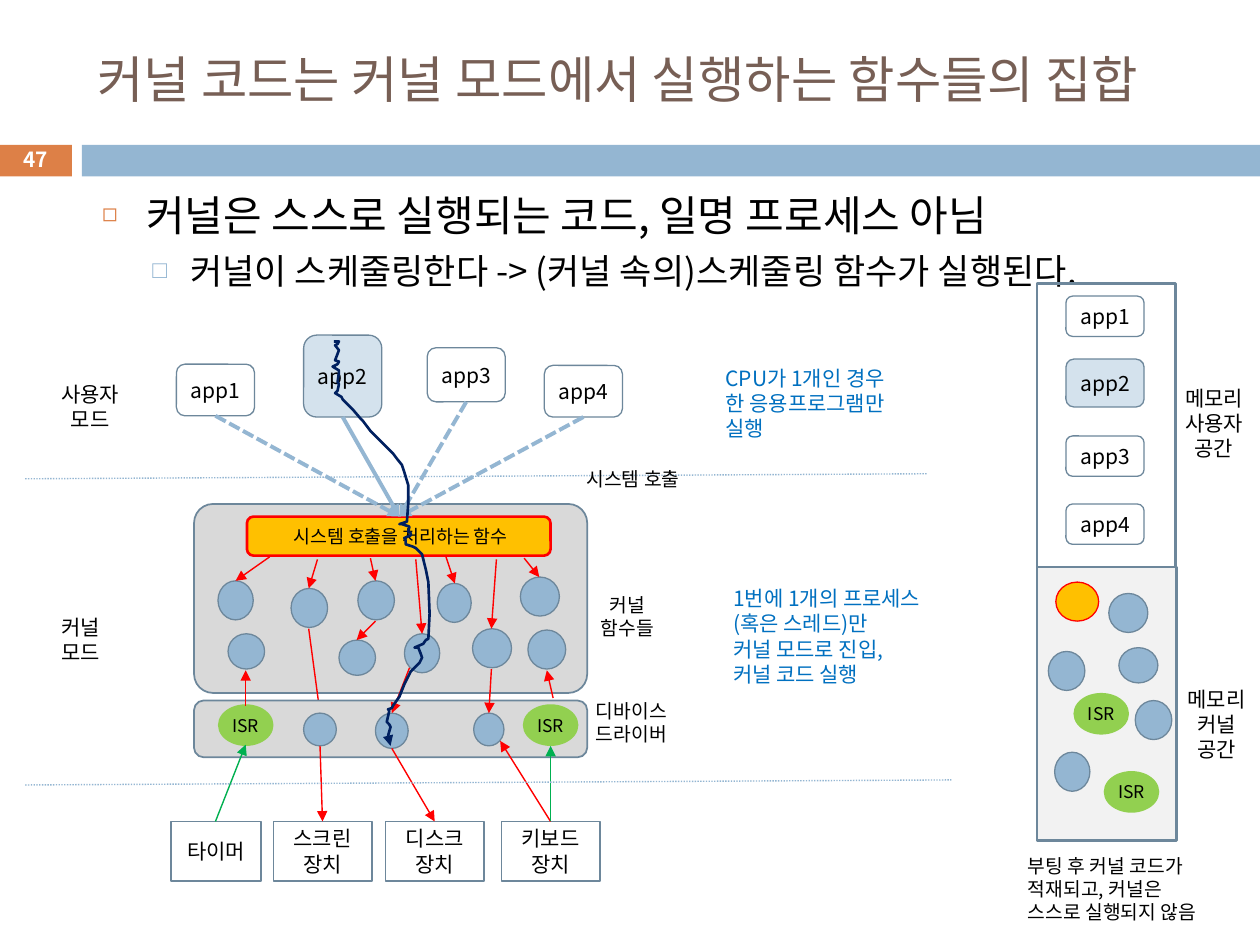
from lxml import etree
from pptx import Presentation
from pptx.dml.color import RGBColor
from pptx.enum.dml import MSO_LINE
from pptx.enum.shapes import MSO_CONNECTOR, MSO_SHAPE
from pptx.enum.text import MSO_ANCHOR, MSO_AUTO_SIZE, PP_ALIGN
from pptx.oxml.ns import qn
from pptx.util import Inches, Pt

RECT, ROUND, OVAL = MSO_SHAPE.RECTANGLE, MSO_SHAPE.ROUNDED_RECTANGLE, MSO_SHAPE.OVAL
DASH, DOT = MSO_LINE.SQUARE_DOT, MSO_LINE.ROUND_DOT
LEFT, MID = PP_ALIGN.LEFT, PP_ALIGN.CENTER
TOP, CENTER = MSO_ANCHOR.TOP, MSO_ANCHOR.MIDDLE
FONT = "Noto Sans CJK KR"

HUE = {
    "black": "000000", "white": "FFFFFF", "brown": "775F55", "orange": "DD8047",
    "blue": "94B6D2", "pale": "D4E2ED", "edge": "6D879B", "gray": "D9D9D9",
    "light": "F2F2F2", "gold": "FFC000", "red": "FF0000", "lime": "92D050",
    "green": "00B050", "note": "0070C0", "navy": "002060",
}

# Look of each kind of part: preset, fill, line, line width, text size, inset
LOOK = {
    "bar": (RECT, "blue", None, 0, 12, True),
    "badge": (RECT, "orange", None, 0, 12, True),
    "panel": (ROUND, "gray", "edge", 1, 12, True),
    "entry": (ROUND, "gold", "red", 1.5, 10.5, True),
    "func": (OVAL, "blue", "edge", 0.75, 10, False),
    "main": (OVAL, "gold", "red", 0.75, 10, False),
    "isr": (OVAL, "lime", "lime", 1.5, 10, False),
    "app": (ROUND, None, "edge", 0.75, 12, False),
    "live": (ROUND, "pale", "edge", 0.75, 12, False),
    "device": (RECT, "white", "edge", 1, 12, True),
    "memory": (RECT, None, "edge", 1.5, 12, True),
    "kernel": (RECT, "light", "edge", 1.5, 12, True),
}

TITLE = "커널 코드는 커널 모드에서 실행하는 함수들의 집합"
# text, size, indent, hang, space before, bullet, bullet colour, bullet size
POINTS = [
    ("커널은 스스로 실행되는 코드, 일명 프로세스 아님", 24, 0.35, 0.35, 7, "◻", "orange", 60),
    ("커널이 스케줄링한다 -> (커널 속의)스케줄링 함수가 실행된다.", 20, 0.7, 0.3, 5.5, "□", "blue", 70),
]

FUNCS = [(2.31, 4.67, 0.29, 0.31), (4.19, 5, 0.3, 0.31), (1.73, 4.61, 0.28, 0.31),
         (2.69, 5.08, 0.29, 0.28), (3.21, 5.03, 0.28, 0.31), (4.13, 4.58, 0.31, 0.31),
         (3.47, 4.63, 0.27, 0.31), (3.75, 4.99, 0.31, 0.31), (2.84, 4.61, 0.29, 0.31),
         (1.81, 5.03, 0.29, 0.28)]
DRIVERS = [(2.41, 5.66, 0.26, 0.26), (2.98, 5.66, 0.26, 0.28), (3.76, 5.66, 0.24, 0.26)]
LOADED = [(9.01, 5.56, 0.29, 0.31), (8.37, 5.97, 0.28, 0.31), (8.8, 4.71, 0.31, 0.31),
          (8.88, 5.14, 0.31, 0.28), (8.32, 5.17, 0.29, 0.31)]
ISRS = [(1.74, 5.6), (4.16, 5.6)]
LOADED_ISRS = [(8.77, 6.13), (8.53, 5.51)]
APPS = [(1.4, 2.89, 0.41), (2.41, 2.66, 0.65), (3.39, 2.76, 0.43), (4.32, 2.9, 0.41)]
STACK = [(8.46, 2.35, 0.32), (8.46, 2.85, 0.38), (8.46, 3.46, 0.32), (8.46, 4, 0.32)]
DEVICES = [("타이머", 1.36, 0.71), ("스크린\n장치", 2.17, 0.78),
           ("디스크\n장치", 3.06, 0.78), ("키보드장치", 3.98, 0.78)]

ENTRY = (3.17, 4.1)
HIDDEN = (2.45, 4.99, 2.54, 5.66)  # runs under the driver panel
CALLS = [
    (2.52, 4.44, 2.45, 4.67), (2.54, 5.92, 2.56, 6.52), (3.11, 5.94, 3.45, 6.52),
    (3.25, 5.3, 3.11, 5.66), (4.37, 6.52, 3.97, 5.88), (3.94, 4.44, 3.9, 4.99),
    (3.9, 5.31, 3.88, 5.66), (1.95, 5.6, 1.95, 5.32), (2.14, 4.42, 1.87, 4.61),
    (2.94, 4.43, 2.98, 4.61), (2.98, 4.93, 2.83, 5.08), (3.3, 4.44, 3.35, 5.03),
    (3.54, 4.42, 3.61, 4.63), (4.16, 4.43, 4.28, 4.58), (4.39, 5.54, 4.34, 5.32),
]
SIGNALS = [(4.37, 6.52, 4.37, 5.92), (1.71, 6.52, 1.95, 5.91)]
BORDERS = [(0.2, 3.8, 7.36, 3.76), (0.2, 6.23, 7.55, 6.19)]

# text, box, size, colour, alignment, wrap
LABELS = [
    ("커널\n함수들", (4.65, 4.66, 0.66, 0.47), 11, "black", MID, False),
    ("디바이스\n드라이버", (4.63, 5.5, 0.82, 0.47), 11, "black", LEFT, False),
    ("CPU가 1개인 경우\n한 응용프로그램만\n실행", (5.66, 2.85, 1.7, 0.71), 12, "note", LEFT, False),
    ("1번에 1개의 프로세스\n(혹은 스레드)만\n커널 모드로 진입,\n커널 코드 실행",
     (5.72, 4.6, 1.85, 0.91), 12, "note", LEFT, False),
    ("사용자\n모드", (0.36, 2.98, 0.71, 0.5), 12, "black", MID, False),
    ("커널\n모드", (0.37, 4.83, 0.54, 0.5), 12, "black", MID, False),
    ("부팅 후 커널 코드가\n적재되고, 커널은 스스로 실행되지 않음",
     (8.06, 6.73, 1.63, 0.66), 11, "black", LEFT, True),
    ("시스템 호출", (4.51, 3.66, 1.03, 0.29), 11, "black", MID, False),
    ("메모리\n사용자\n공간", (9.28, 3.01, 0.71, 0.71), 12, "black", MID, False),
    ("메모리\n커널\n공간", (9.3, 5.4, 0.71, 0.71), 12, "black", MID, False),
]

# Path of the running thread, in hundredths of an inch
TRACE = [
    (265, 271), (269, 271), (268, 273), (266, 274), (269, 278), (266, 286), (269, 287),
    (268, 289), (264, 291), (269, 294), (269, 296), (268, 303), (269, 305), (268, 310),
    (266, 312), (271, 315), (272, 317), (280, 325), (286, 332), (288, 334), (294, 342),
    (296, 344), (303, 351), (312, 360), (315, 364), (319, 369), (321, 375), (324, 385),
    (324, 400), (323, 414), (317, 416), (319, 416), (325, 418), (324, 422), (326, 423),
    (326, 425), (321, 427), (322, 429), (322, 432), (328, 434), (330, 435), (335, 440),
    (338, 452), (340, 462), (341, 487), (340, 507), (338, 508), (336, 511), (329, 514),
    (332, 514), (334, 519), (335, 522), (333, 526), (331, 528), (326, 533), (325, 535),
    (321, 543), (317, 553), (312, 560), (311, 562), (308, 563), (309, 564), (307, 573),
    (309, 575), (310, 577), (308, 584), (309, 586), (310, 592),
]


def rgb(name):
    return RGBColor.from_string(HUE[name])


def paint(font, size, hue, bold=False):
    form = {"name": FONT, "size": Pt(size), "bold": bold}
    for key, val in form.items():
        setattr(font, key, val)
    font.color.rgb = rgb(hue)


def write(shape, text, size, hue="black", align=MID, anchor=CENTER, wrap=True, bold=False):
    frame = shape.text_frame
    frame.text = text
    form = {"word_wrap": wrap, "auto_size": MSO_AUTO_SIZE.NONE, "vertical_anchor": anchor}
    for key, val in form.items():
        setattr(frame, key, val)
    for para in frame.paragraphs:
        para.alignment = align
        for run in para.runs:
            paint(run.font, size, hue, bold)
            etree.SubElement(run.font._element, qn("a:ea"), typeface=FONT)


def place(shape, *box):
    for key, val in zip(("left", "top", "width", "height"), box):
        setattr(shape, key, Inches(val))


def stroke(line, hue, width, dash=None, arrow=True):
    line.color.rgb = rgb(hue)
    line.width = Pt(width)
    if dash:
        line.dash_style = dash
    if arrow:
        etree.SubElement(line._get_or_add_ln(), qn("a:tailEnd"), type="triangle")


def add(kind, box, text=""):
    preset, fill, edge, width, size, inset = LOOK[kind]
    shape = shapes.add_shape(preset, *map(Inches, box))
    shape.shadow.inherit = False
    if fill:
        shape.fill.solid()
        shape.fill.fore_color.rgb = rgb(fill)
    else:
        shape.fill.background()
    if edge:
        stroke(shape.line, edge, width, arrow=False)
    else:
        shape.line.fill.background()
    if text:
        if not inset:
            for side in ("left", "top", "right", "bottom"):
                setattr(shape.text_frame, "margin_" + side, 0)
        write(shape, text, size)
    return shape


def link(ends, hue, width=0.79, dash=None, arrow=True):
    wire = shapes.add_connector(MSO_CONNECTOR.STRAIGHT, *map(Inches, ends))
    stroke(wire.line, hue, width, dash, arrow)
    etree.SubElement(wire._element.spPr, qn("a:effectLst"))


def label(text, box, size, hue, align, wrap, anchor=TOP, bold=False):
    note = shapes.add_textbox(*map(Inches, box))
    write(note, text, size, hue, align, anchor, wrap, bold)


def add_apps(spots):
    for num, (x, y, h) in enumerate(spots, 1):
        add("live" if num == 2 else "app", (x, y, 0.62, h), f"app{num}")


deck = Presentation()
deck.slide_width, deck.slide_height = Inches(10), Inches(7.5)
slide = deck.slides.add_slide(deck.slide_layouts[1])
shapes = slide.shapes

head, body = slide.placeholders
place(head, 0.67, 0.25, 8.92, 0.74)
write(head, TITLE, 28.8, "brown", LEFT)
place(body, 0.71, 1.45, 8.92, 5.51)
write(body, "\n".join(row[0] for row in POINTS), 24, align=LEFT, anchor=TOP)
for level, (para, row) in enumerate(zip(body.text_frame.paragraphs, POINTS)):
    _, size, indent, hang, gap, mark, hue, scale = row
    para.level, para.space_before = level, Pt(gap)
    para.runs[0].font.size = Pt(size)
    props = para._p.get_or_add_pPr()
    props.set("marL", str(Inches(indent)))
    props.set("indent", str(-Inches(hang)))
    tint = etree.SubElement(props, qn("a:buClr"))
    etree.SubElement(tint, qn("a:srgbClr"), val=HUE[hue])
    etree.SubElement(props, qn("a:buSzPct"), val=str(scale * 1000))
    etree.SubElement(props, qn("a:buChar"), char=mark)

add("badge", (-0.01, 1.15, 0.58, 0.25))
add("bar", (0.65, 1.15, 9.35, 0.25))
label("47", (-0.01, 1.13, 0.58, 0.27), 11.9, "white", MID, True, CENTER, True)

add("panel", (1.54, 4, 3.12, 1.5)).adjustments[0] = 0.1
link(HIDDEN, "red")
add("panel", (1.54, 5.56, 3.12, 0.45))
add("entry", (1.96, 4.1, 2.41, 0.31), " 시스템 호출을 처리하는 함수")
for box in FUNCS + DRIVERS:
    add("func", box)
add_apps(APPS)
for num, (x, y, h) in enumerate(APPS, 1):
    link((x + 0.31, y + h, *ENTRY), "blue", 2.25, None if num == 2 else DASH)
for text, x, w in DEVICES:
    add("device", (x, 6.52, w, 0.47), text)
for x, y in ISRS:
    add("isr", (x, y, 0.42, 0.31), "ISR")
for ends in CALLS:
    link(ends, "red")
for ends in SIGNALS:
    link(ends, "green")
for ends in BORDERS:
    link(ends, "blue", dash=DOT, arrow=False)

pen = shapes.build_freeform(*TRACE[0], scale=Inches(0.01))
pen.add_line_segments(TRACE[1:], close=False)
thread = pen.convert_to_shape()
thread.shadow.inherit = False
thread.fill.background()
stroke(thread.line, "navy", 1.5)

add("memory", (8.23, 2.25, 1.1, 4.41))
add("kernel", (8.23, 4.5, 1.11, 2.17))
add_apps(STACK)
for box in LOADED:
    add("func", box)
for x, y in LOADED_ISRS:
    add("isr", (x, y, 0.42, 0.31), "ISR")
add("main", (8.38, 4.62, 0.34, 0.31))
for row in LABELS:
    label(*row)

deck.save("out.pptx")
